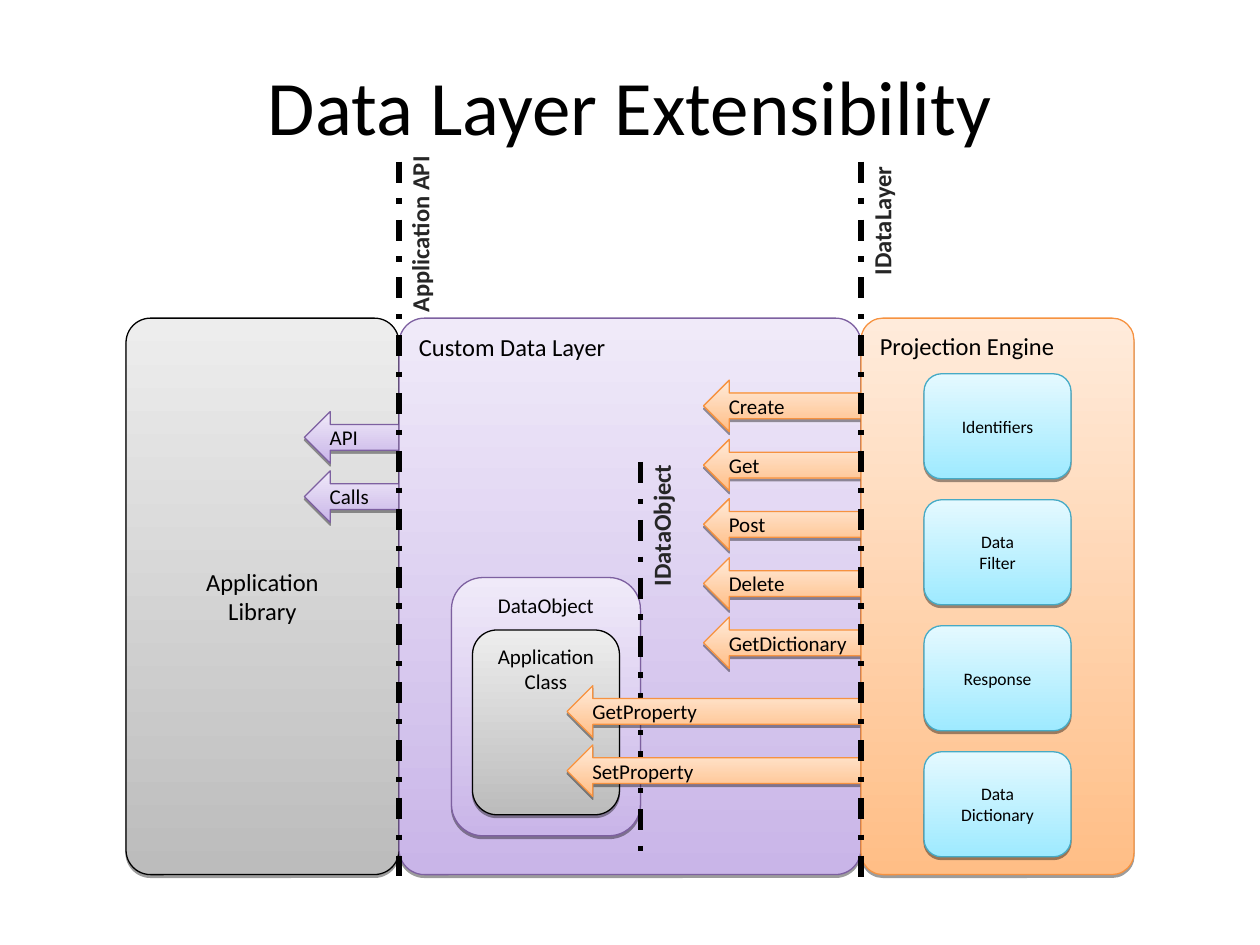
from lxml.etree import SubElement
from pptx import Presentation
from pptx.dml.color import RGBColor
from pptx.enum.dml import MSO_LINE
from pptx.enum.shapes import MSO_CONNECTOR, MSO_SHAPE as Preset
from pptx.enum.text import MSO_ANCHOR as Anchor, MSO_AUTO_SIZE, PP_ALIGN as Align
from pptx.oxml.ns import qn
from pptx.util import Inches, Pt

FONT = "Calibri"
COLORS = {"text": "000000", "label": "262626", "boundary": "000000", "shadow": "000000"}
THEMES = {
    "gray": {"bottom": "BCBCBC", "top": "EDEDED", "line": "000000"},
    "purple": {"bottom": "C9B5E8", "top": "F0EAF9", "line": "7D60A0"},
    "orange": {"bottom": "FFBE86", "top": "FFEBDB", "line": "F69240"},
    "blue": {"bottom": "9EEAFF", "top": "E4F9FF", "line": "46AAC5"},
}

COLUMNS, ROWS = 120, 90
PANEL_TOP, PANEL_HEIGHT = 30.3, 53
APP_EDGE, OBJECT_EDGE, ENGINE_EDGE = 38, 61, 82
ARROW_HEIGHT, ARROW_STEP = 4.92, 5.64
LABEL_OFFSET, LABEL_HEIGHT = 2, 4.04

TITLE = "Data Layer Extensibility"
LIBRARY = ("Application\nLibrary", "gray", (12, PANEL_TOP, 26, PANEL_HEIGHT), 14, 0.09, Align.CENTER, Anchor.MIDDLE)
LAYER_PANELS = [
    ("Custom Data Layer", "purple", (APP_EDGE, PANEL_TOP, 44, PANEL_HEIGHT), 14, 0.055, Align.LEFT, Anchor.TOP),
    ("DataObject", "purple", (43, 55, 18, 24.6), 12, 0.167, Align.CENTER, Anchor.TOP),
    ("Application\nClass", "gray", (45, 60, 14, 17.6), 12, 0.167, Align.CENTER, Anchor.TOP),
]
ENGINE = ("Projection Engine", "orange", (ENGINE_EDGE, PANEL_TOP, 26, PANEL_HEIGHT), 14, 0.08, Align.LEFT, Anchor.TOP)
API_CALLS = (["API", "Calls"], "purple", 29, 39.2, 13)
ENGINE_CALLS = [
    (["Create", "Get", "Post", "Delete", "GetDictionary"], "orange", 67, 36.2, 26),
    (["GetProperty", "SetProperty"], "orange", 54, 65.3, 39),
]
OBJECT_BOUNDARY = ("IDataObject", OBJECT_EDGE, 44, 81.6, 50, 14)
LAYER_BOUNDARIES = [
    ("IDataLayer", ENGINE_EDGE, 15.4, 84, 21, 12.8),
    ("Application API", APP_EDGE, 15.4, 83.4, 22.3, 17.3),
]
ENGINE_PARTS = ["Identifiers", "Data\nFilter", "Response", "Data\nDictionary"]

deck = Presentation()
deck.slide_width, deck.slide_height = Inches(10), Inches(7.5)
page = deck.slides.add_slide(deck.slide_layouts[6])


def x(columns):
    return round(deck.slide_width * columns / COLUMNS)


def y(rows):
    return round(deck.slide_height * rows / ROWS)


def place(area):
    left, top, width, height = area
    return x(left), y(top), x(width), y(height)


def rgb(value):
    return RGBColor.from_string(value)


def write(shape, text, size, align=Align.LEFT, anchor=Anchor.TOP, color="text", bold=False):
    frame = shape.text_frame
    frame.word_wrap = True
    frame.vertical_anchor = anchor
    para = frame.paragraphs[0]
    para.text = text
    para.alignment = align
    font = para.font
    font.name, font.size, font.bold = FONT, Pt(size), bold
    font.color.rgb = rgb(COLORS[color])


def add_block(preset, theme, area):
    shape = page.shapes.add_shape(preset, *place(area))
    colors = THEMES[theme]
    shape.fill.gradient()
    shape.fill.gradient_angle = 90
    for stop, key in zip(shape.fill.gradient_stops, ("bottom", "top")):
        stop.color.rgb = rgb(colors[key])
    shape.line.color.rgb = rgb(colors["line"])
    shape.line.width = Pt(0.75)
    shape.shadow.inherit = False
    effects = shape._element.spPr.find(qn("a:effectLst"))
    shadow = SubElement(effects, qn("a:outerShdw"), blurRad="0", dist="20000", dir="5400000", rotWithShape="0")
    tint = SubElement(shadow, qn("a:srgbClr"), val=COLORS["shadow"])
    SubElement(tint, qn("a:alpha"), val="38000")
    return shape


def add_panel(text, theme, area, size, corner, align, anchor):
    panel = add_block(Preset.ROUNDED_RECTANGLE, theme, area)
    panel.adjustments[0] = corner
    write(panel, text, size, align, anchor)


def add_calls(names, theme, left, top, width):
    for index, name in enumerate(names):
        area = (left, top + index * ARROW_STEP, width, ARROW_HEIGHT)
        write(add_block(Preset.LEFT_ARROW, theme, area), name, 12, anchor=Anchor.MIDDLE)


def add_boundary(text, edge, top, bottom, middle, length):
    area = (edge + LABEL_OFFSET - length / 2, middle - LABEL_HEIGHT / 2, length, LABEL_HEIGHT)
    label = page.shapes.add_textbox(*place(area))
    label.rotation = 270
    write(label, text, 14, color="label", bold=True)
    label.text_frame.word_wrap = False
    label.text_frame.auto_size = MSO_AUTO_SIZE.SHAPE_TO_FIT_TEXT
    line = page.shapes.add_connector(MSO_CONNECTOR.STRAIGHT, x(edge), y(top), x(edge), y(bottom))
    line.line.color.rgb = rgb(COLORS["boundary"])
    line.line.width = Pt(3)
    line.line.dash_style = MSO_LINE.DASH_DOT
    SubElement(line._element.spPr, qn("a:effectLst"))


title = page.shapes.add_textbox(*place((2, 5, 116, 10.1)))
write(title, TITLE, 44, Align.CENTER)

add_panel(*LIBRARY)
add_calls(*API_CALLS)
for panel in LAYER_PANELS:
    add_panel(*panel)
add_boundary(*OBJECT_BOUNDARY)
for calls in ENGINE_CALLS:
    add_calls(*calls)
add_panel(*ENGINE)
for boundary in LAYER_BOUNDARIES:
    add_boundary(*boundary)
for index, part in enumerate(ENGINE_PARTS):
    add_panel(part, "blue", (88, 35.6 + 12 * index, 14, 10), 10, 0.167, Align.CENTER, Anchor.MIDDLE)

deck.save("out.pptx")
